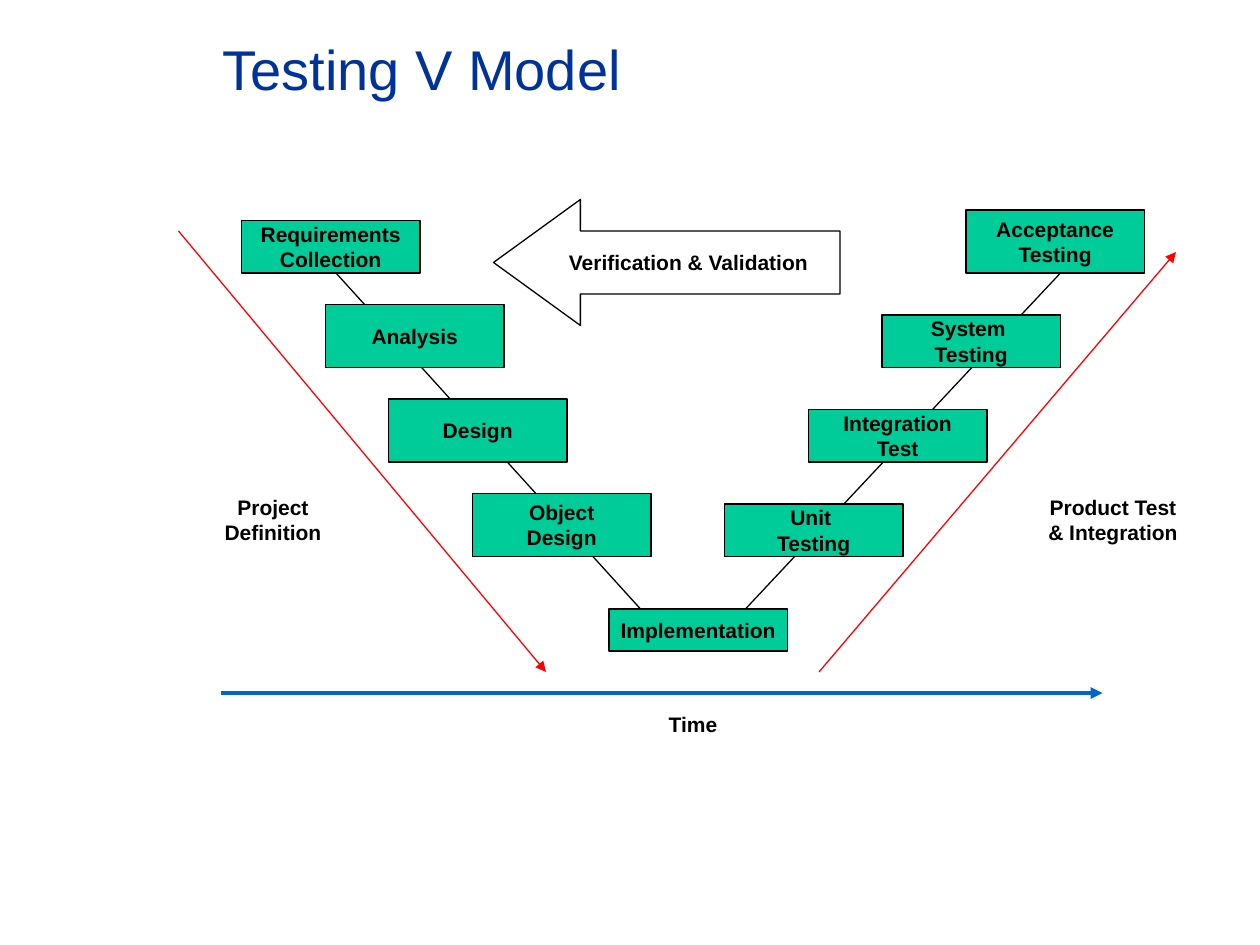
from dataclasses import dataclass

from lxml.etree import SubElement
from pptx import Presentation
from pptx.dml.color import RGBColor
from pptx.enum.shapes import MSO_CONNECTOR, MSO_SHAPE
from pptx.enum.text import MSO_ANCHOR, PP_ALIGN
from pptx.oxml.ns import qn
from pptx.util import Pt


@dataclass(frozen=True)
class Theme:
    font: str = "Arial"
    title_size: float = 32
    body_size: float = 12
    title: str = "003399"
    ink: str = "000000"
    paper: str = "FFFFFF"
    phase: str = "00CC99"
    flow: str = "FF0000"
    time: str = "0066CC"
    thin: float = 0.75
    thick: float = 2.25


def write(tf, text, *, font, size, color, bold=False,
          align=PP_ALIGN.CENTER, wrap=False):
    """Fill a text frame, one paragraph per line of text."""
    tf.word_wrap = wrap
    tf.vertical_anchor = MSO_ANCHOR.MIDDLE
    for i, line in enumerate(text.split("\n")):
        p = tf.add_paragraph() if i else tf.paragraphs[0]
        p.alignment = align
        r = p.add_run()
        r.text = line
        r.font.name = font
        r.font.size = Pt(size)
        r.font.bold = bold
        r.font.color.rgb = RGBColor.from_string(color)


class Deck:
    def __init__(self, prs, theme):
        self.theme = theme
        self.s = prs.slides.add_slide(prs.slide_layouts[6])

    def title(self, text, x, y, w, h):
        t = self.theme
        sp = self.s.shapes.add_textbox(Pt(x), Pt(y), Pt(w), Pt(h))
        write(sp.text_frame, text, font=t.font, size=t.title_size,
              color=t.title, align=PP_ALIGN.LEFT, wrap=True)

    def shape(self, text, x, y, w, h, fill, kind=MSO_SHAPE.RECTANGLE, outlined=True):
        t = self.theme
        sp = self.s.shapes.add_shape(kind, Pt(x), Pt(y), Pt(w), Pt(h))
        sp.shadow.inherit = False
        sp.fill.solid()
        sp.fill.fore_color.rgb = RGBColor.from_string(fill)
        if outlined:
            sp.line.color.rgb = RGBColor.from_string(t.ink)
            sp.line.width = Pt(t.thin)
        else:
            sp.line.fill.background()
        write(sp.text_frame, text, font=t.font, size=t.body_size,
              color=t.ink, bold=True)
        return sp

    def phase(self, text, x, y, h):
        self.shape(text, x, y, 102, h, self.theme.phase)

    def label(self, text, x, y, h):
        self.shape(text, x, y, 96, h, self.theme.paper, outlined=False)

    def block_arrow(self, text, x, y, w, h, head):
        sp = self.shape(text, x, y, w, h, self.theme.paper, MSO_SHAPE.LEFT_ARROW)
        sp.adjustments[0] = 0.5
        sp.adjustments[1] = head

    def line(self, x1, y1, x2, y2, color, width, arrow=False):
        cx = self.s.shapes.add_connector(
            MSO_CONNECTOR.STRAIGHT, Pt(x1), Pt(y1), Pt(x2), Pt(y2))
        cx.line.color.rgb = RGBColor.from_string(color)
        cx.line.width = Pt(width)
        if arrow:
            SubElement(cx.line._get_or_add_ln(), qn("a:tailEnd"), type="triangle")
        SubElement(cx._element.spPr, qn("a:effectLst"))


def main():
    prs = Presentation()
    prs.slide_width, prs.slide_height = Pt(720), Pt(540)
    theme = Theme()
    deck = Deck(prs, theme)

    # Arms of the V, behind the phases
    for x1, x2 in ((192, 366), (606, 426)):
        deck.line(x1, 156, x2, 348, theme.ink, theme.thin)

    deck.title("Testing V Model", 120, 12, 588, 54)

    # Phases: down the left arm, down the right arm, then the foot
    for text, x, y, h in (
        ("Requirements\nCollection", 138, 126, 30),
        ("Analysis", 186, 174, 36),
        ("Design", 222, 228, 36),
        ("Object\nDesign", 270, 282, 36),
        ("Acceptance\nTesting", 552, 120, 36),
        ("System \nTesting", 504, 180, 30),
        ("Integration\nTest", 462, 234, 30),
        ("Unit \nTesting", 414, 288, 30),
        ("Implementation", 348, 348, 24),
    ):
        deck.phase(text, x, y, h)

    # Labels for the two arms and the time axis
    for text, x, y, h in (
        ("Project\nDefinition", 108, 282, 30),
        ("Product Test\n& Integration", 588, 282, 30),
        ("Time", 348, 402, 24),
    ):
        deck.label(text, x, y, h)

    # Direction arrows and time axis
    deck.line(102, 132, 312, 384, theme.flow, theme.thin, arrow=True)
    deck.line(468, 384, 672, 144, theme.flow, theme.thin, arrow=True)
    deck.line(126, 396, 630, 396, theme.time, theme.thick, arrow=True)

    # Feedback from testing to definition
    deck.block_arrow("Verification & Validation", 282, 114, 198, 72, head=0.69)

    prs.save("out.pptx")


if __name__ == "__main__":
    main()
